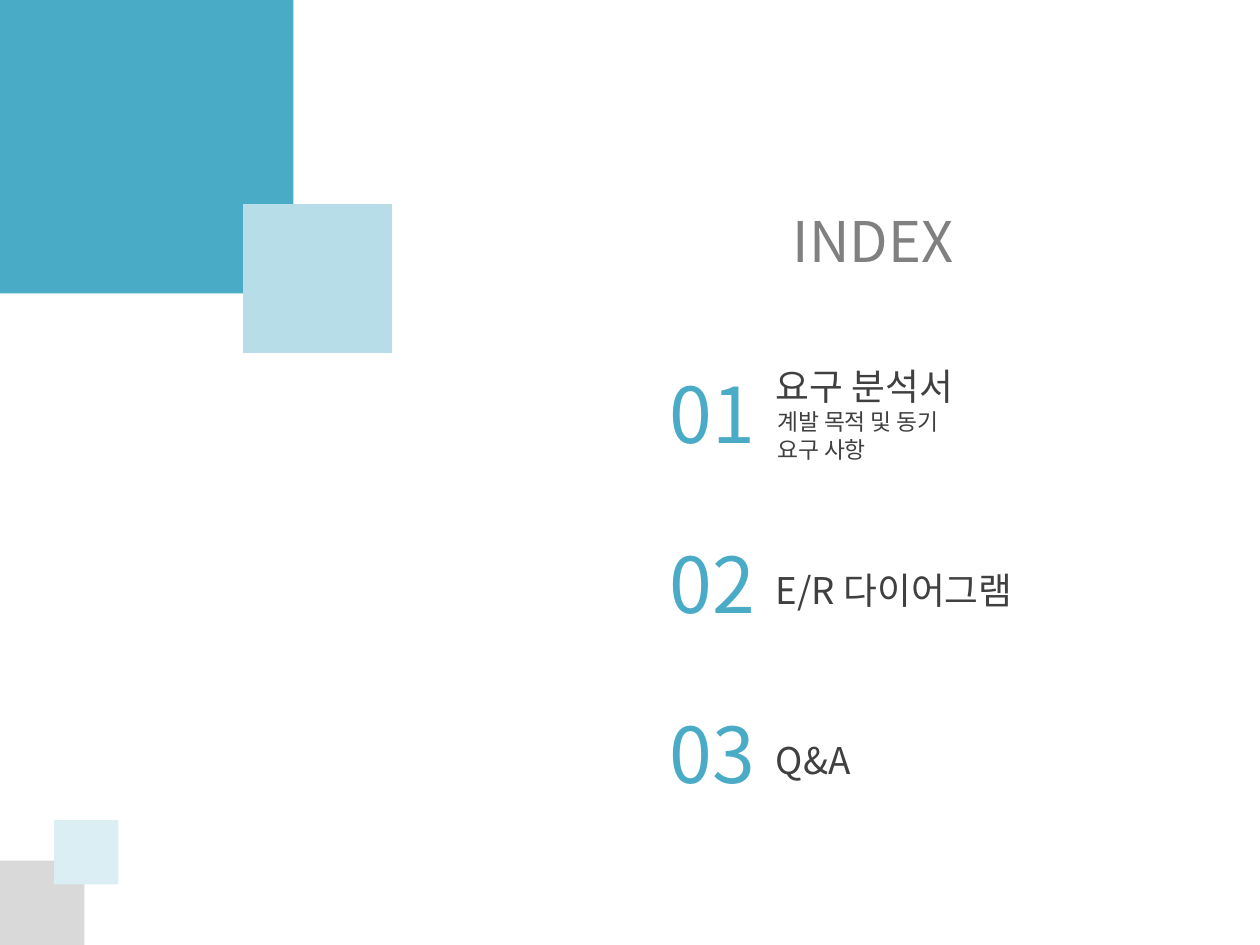
"""Build the index slide with three numbered entries and corner squares."""
import pptx
import pptx.dml.color
import pptx.enum.shapes
import pptx.enum.text
import pptx.oxml.ns
import pptx.util
from lxml import etree

Inches = pptx.util.Inches
Align = pptx.enum.text.PP_ALIGN
FONT = "Noto Sans CJK KR"
COLORS = {"teal": "4AABC6", "sky": "B7DEE8", "ice": "DBEEF4",
          "silver": "D9D9D9", "gray": "808080", "ink": "404040"}


def color(name):
    return pptx.dml.color.RGBColor.from_string(COLORS[name])


def write(box, lines, size, tint, align=Align.LEFT, wrap=False):
    frame = box.text_frame
    frame.text = "\n".join(lines)
    form = {"word_wrap": wrap,
            "auto_size": pptx.enum.text.MSO_AUTO_SIZE.SHAPE_TO_FIT_TEXT,
            "vertical_anchor": pptx.enum.text.MSO_ANCHOR.TOP}
    for key, value in form.items():
        setattr(frame, key, value)
    for para in frame.paragraphs:
        para.alignment = align
        for run in para.runs:
            for key, value in {"name": FONT, "size": pptx.util.Pt(size)}.items():
                setattr(run.font, key, value)
            run.font.color.rgb = color(tint)
            east = etree.SubElement(run.font._element, pptx.oxml.ns.qn("a:ea"))
            east.set("typeface", FONT)


deck = pptx.Presentation()
deck.slide_width, deck.slide_height = Inches(10), Inches(7.5)
slide = deck.slides.add_slide(deck.slide_layouts[5])

title = slide.shapes.title
place = {"left": 6.15, "top": 1.59, "width": 1.56, "height": 0.64}
for key, value in place.items():
    setattr(title, key, Inches(value))
write(title, ["INDEX"], 32, "gray", Align.CENTER)

entries = [
    ("요구 분석서", 1.7, -0.02, ["계발 목적 및 동기", "요구 사항"]),
    ("E/R 다이어그램", 2.19, 0.25, []),
    ("Q&A", 0.82, 0.25, []),
]
for row, (head, width, shift, notes) in enumerate(entries):
    top = 2.86 + 1.35 * row
    group = slide.shapes.add_group_shape()
    box = group.shapes.add_textbox(Inches(5.04), Inches(top), Inches(1.23), Inches(0.82))
    write(box, [f"{row + 1:02d}"], 44, "teal", Align.CENTER, True)
    box = group.shapes.add_textbox(Inches(6.06), Inches(top + shift), Inches(width), Inches(0.45))
    write(box, [head], 21, "ink")
    if notes:
        box = group.shapes.add_textbox(Inches(6.07), Inches(top + 0.33), Inches(1.58), Inches(0.53))
        write(box, notes, 13, "ink")

squares = [(0, 0, 2.33, "teal"), (1.93, 1.62, 1.18, "sky"),
           (0, 6.83, 0.67, "silver"), (0.43, 6.51, 0.51, "ice")]
for left, top, side, tint in squares:
    square = slide.shapes.add_shape(
        pptx.enum.shapes.MSO_SHAPE.RECTANGLE,
        Inches(left), Inches(top), Inches(side), Inches(side))
    square.shadow.inherit = False
    square.fill.solid()
    square.fill.fore_color.rgb = color(tint)
    square.line.fill.background()

deck.save("out.pptx")
